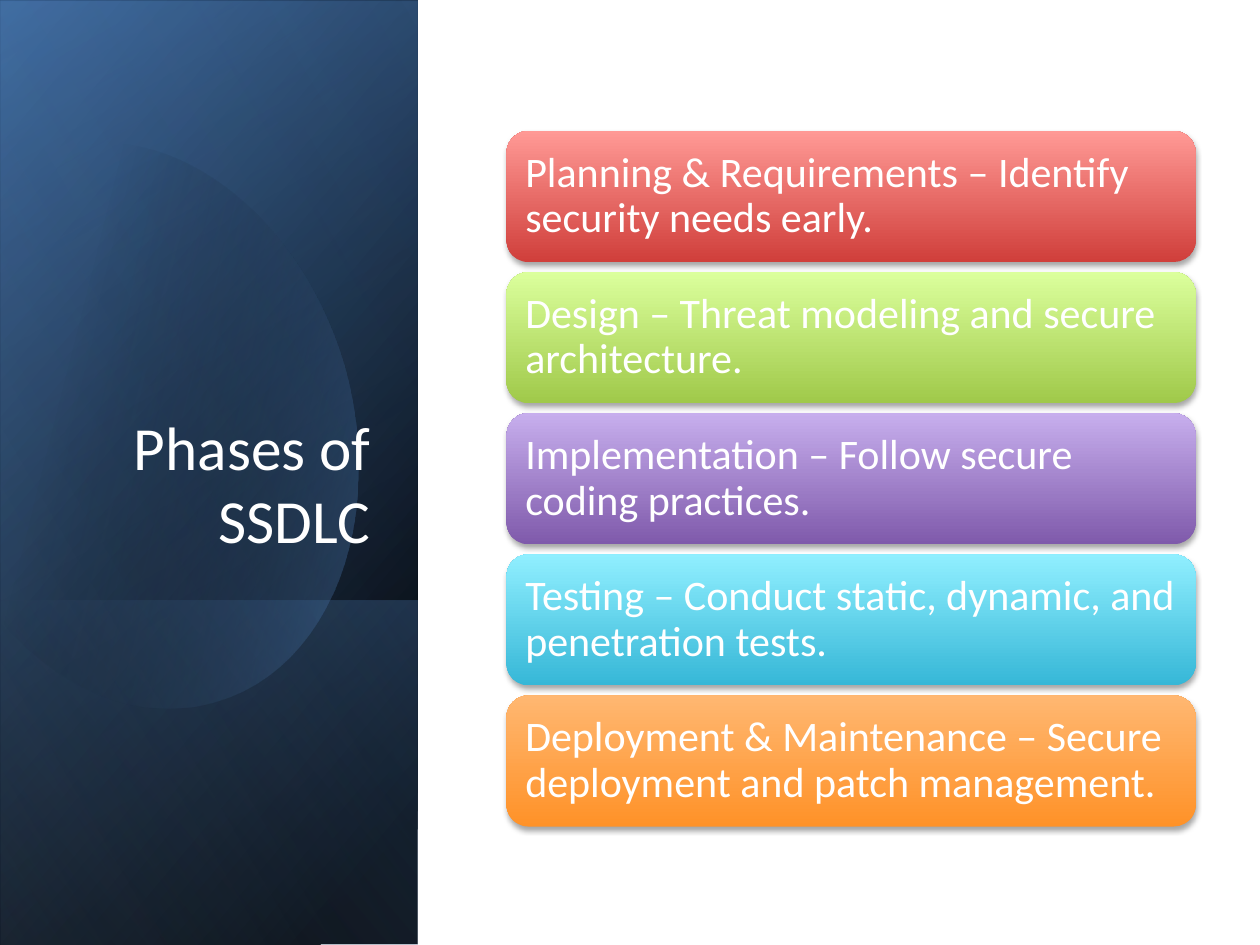
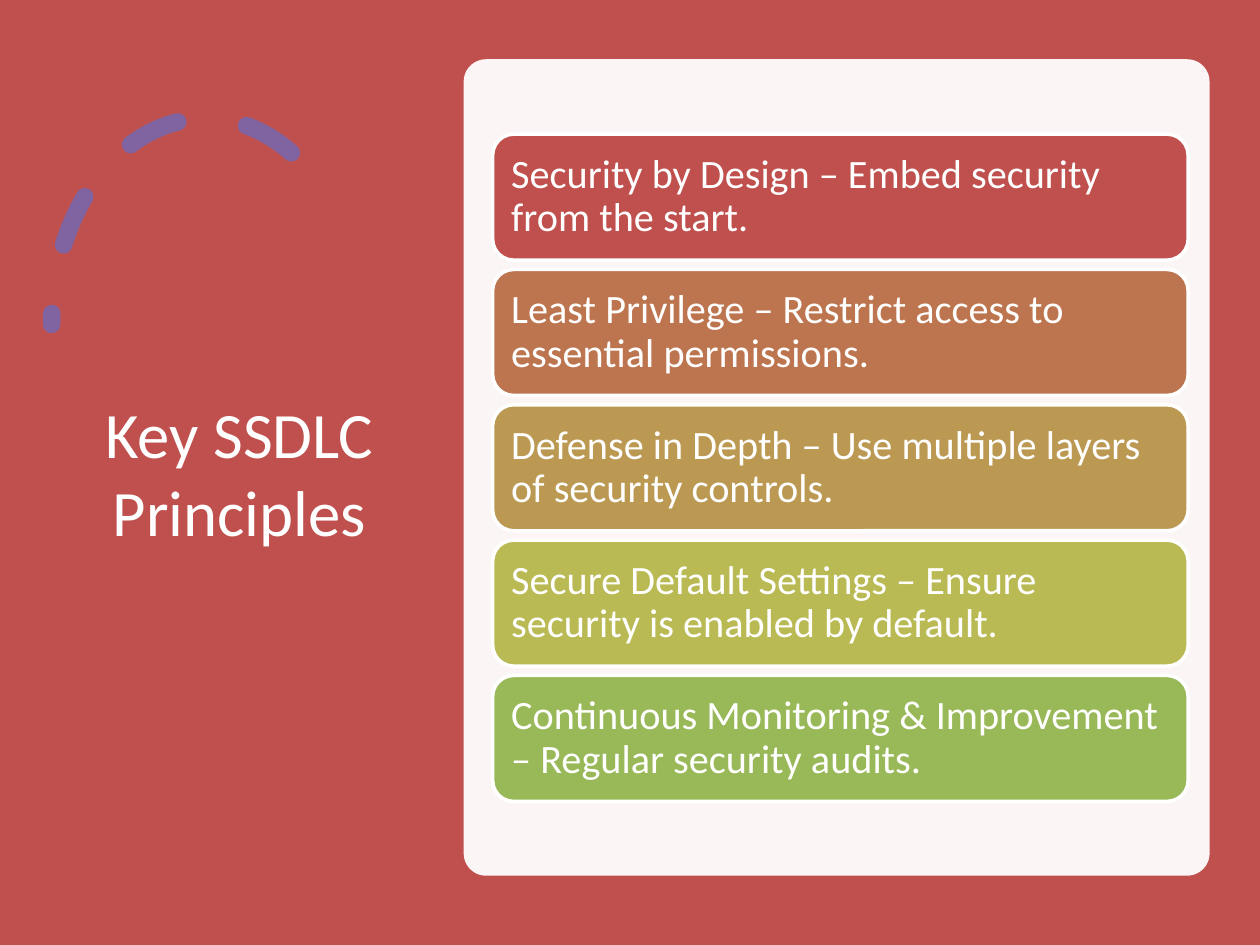
"""Builds two slides on secure development: its phases and its principles."""
import pptx
import pptx.dml.color
import pptx.enum.dml
import pptx.enum.shapes
import pptx.enum.text
import pptx.oxml
import pptx.oxml.ns
import pptx.util

COLS, ROWS = 100, 75
CELL = pptx.util.Inches(0.1)
FONT = "Calibri"
WHITE, BLACK, BLUE, RED, PURPLE = "FFFFFF", "000000", "4F81BD", "C0504D", "8064A2"
LIGHT_BLUE = "93B3D7"
RECT = pptx.enum.shapes.MSO_SHAPE.RECTANGLE
ROUND = pptx.enum.shapes.MSO_SHAPE.ROUNDED_RECTANGLE
ARC = pptx.enum.shapes.MSO_SHAPE.ARC
ALIGN = pptx.enum.text.PP_ALIGN
ANCHOR = pptx.enum.text.MSO_ANCHOR

PHASES = [
    ("Planning & Requirements – Identify security needs early.", "D03F3B", "FF9995"),
    ("Design – Threat modeling and secure architecture.", "A0C94A", "DBFF9C"),
    ("Implementation – Follow secure coding practices.", "7F5AAB", "C7AEED"),
    ("Testing – Conduct static, dynamic, and penetration tests.", "36B7D7", "90EFFF"),
    ("Deployment & Maintenance – Secure deployment and patch management.", "FF9228", "FFB771"),
]
PRINCIPLES = [
    ("Security by Design – Embed security from the start.", "BF504D"),
    ("Least Privilege – Restrict access to essential permissions.", "BD754F"),
    ("Defense in Depth – Use multiple layers of security controls.", "BB9952"),
    ("Secure Default Settings – Ensure security is enabled by default.", "BABA55"),
    ("Continuous Monitoring & Improvement – Regular security audits.", "99B958"),
]
SIDE_PANELS = [
    ((-20.9, 20.9, 75, 33.1), [(0, BLACK, 100), (8, BLACK, 100), (100, "366092", 100)], 50),
    ((-20.9, 21.1, 75, 33.1), [(0, BLACK, 0), (99, BLUE, 46), (100, BLUE, 46)], 30),
    ((2.9, 44.8, 27.4, 33.1), [(0, BLUE, 29), (2, BLUE, 29), (100, BLACK, 30)], 130),
]
SHEEN = ((-20.9, 20.9, 75, 33.1), [(0, BLACK, 0), (99, LIGHT_BLUE, 11), (100, LIGHT_BLUE, 11)], 120)
GLOW = [(0, BLACK, 0), (29, BLACK, 0), (100, BLUE, 43)]
BLOB_START = (9.6, 11.4)
BLOB_CURVES = [
    [(17.1, 12.2), (24.4, 19.2), (27.3, 29)],
    [(30.7, 41.2), (26.2, 53.1), (17.1, 55.7)],
    [(11.4, 57.4), (5.3, 55), (0.7, 50)],
    [(-0.3, 48.8)],
    [(-2.5, 16.6)],
    [(-1.5, 15.4)],
    [(0.2, 13.7), (2.2, 12.5), (4.5, 11.8)],
    [(6.2, 11.3), (7.9, 11.2), (9.6, 11.4)],
]


def rgb(hex_code):
    return pptx.dml.color.RGBColor.from_string(hex_code)


def qn(tag):
    return pptx.oxml.ns.qn(tag)


def xml(text):
    return pptx.oxml.parse_xml(text.replace(" ", f" {pptx.oxml.ns.nsdecls('a')} ", 1))


def curve_points(start, curves, steps=24):
    points = [start]
    for curve in curves:
        if len(curve) == 1:
            points += curve
            continue
        a, (b, c, d) = points[-1], curve
        for i in range(1, steps + 1):
            t = i / steps
            u = 1 - t
            points.append(tuple(
                u**3 * a[k] + 3 * u * u * t * b[k] + 3 * u * t * t * c[k] + t**3 * d[k]
                for k in (0, 1)))
    return points


class Deck:
    def __init__(self):
        self.prs = pptx.Presentation()
        self.prs.slide_width, self.prs.slide_height = COLS * CELL, ROWS * CELL
        self.s = None

    def slide(self):
        self.s = self.prs.slides.add_slide(self.prs.slide_layouts[6])

    def plain(self, sp):
        sp.shadow.inherit = False
        sp.fill.background()
        sp.line.fill.background()
        return sp

    def shape(self, kind, box, fill=None, adj=()):
        sp = self.plain(self.s.shapes.add_shape(kind, *(round(v * CELL) for v in box)))
        for i, value in enumerate(adj):
            sp.adjustments[i] = value
        if fill:
            sp.fill.solid()
            sp.fill.fore_color.rgb = rgb(fill)
        return sp

    def freeform(self, points):
        start, *rest = [(round(x * CELL), round(y * CELL)) for x, y in points]
        builder = self.s.shapes.build_freeform(*start, scale=1.0)
        builder.add_line_segments(rest, close=True)
        return self.plain(builder.convert_to_shape())

    def gradient(self, sp, stops, angle):
        sp.fill.gradient()
        sp.fill.gradient_angle = 360 - angle
        gs_list = sp._element.spPr.find(qn("a:gradFill")).find(qn("a:gsLst"))
        for gs in list(gs_list):
            gs_list.remove(gs)
        for pos, color, alpha in stops:
            gs_list.append(xml(
                f'<a:gs pos="{pos * 1000}"><a:srgbClr val="{color}">'
                f'<a:alpha val="{alpha * 1000}"/></a:srgbClr></a:gs>'))

    def flip(self, sp):
        sp._element.spPr.find(qn("a:xfrm")).set("flipH", "1")

    def opacity(self, sp, percent):
        color = sp._element.spPr.find(qn("a:solidFill")).find(qn("a:srgbClr"))
        color.append(xml(f'<a:alpha val="{percent * 1000}"/>'))

    def outline(self, sp, color, width):
        sp.line.color.rgb = rgb(color)
        sp.line.width = pptx.util.Pt(width)

    def drop_shadow(self, sp):
        blur, dist = pptx.util.Pt(3.1), pptx.util.Pt(1.8)
        sp._element.spPr.find(qn("a:effectLst")).append(xml(
            f'<a:outerShdw blurRad="{blur}" dist="{dist}" dir="5400000" rotWithShape="0">'
            f'<a:srgbClr val="{BLACK}"><a:alpha val="35000"/></a:srgbClr></a:outerShdw>'))

    def side_panel(self, box, stops, angle):
        sp = self.shape(RECT, box)
        sp.rotation = 90
        self.flip(sp)
        self.gradient(sp, stops, angle)

    def label(self, sp, text, size, align, anchor, inset_y, spacing=1.0):
        tf = sp.text_frame
        tf.text = text
        tf.word_wrap = True
        tf.vertical_anchor = anchor
        tf.margin_left = tf.margin_right = CELL
        tf.margin_top = tf.margin_bottom = round(inset_y * CELL)
        p = tf.paragraphs[0]
        p.alignment = align
        p.line_spacing = spacing
        font = p.runs[0].font
        font.name, font.size = FONT, pptx.util.Pt(size)
        font.color.rgb = rgb(WHITE)

    def title(self, box, text, size, align, anchor):
        sp = self.s.shapes.add_textbox(*(round(v * CELL) for v in box))
        self.label(sp, text, size, align, anchor, 0.5)

    def card(self, box, text, size, fill=None):
        sp = self.shape(ROUND, box, fill, [0.167])
        self.label(sp, text, size, ALIGN.LEFT, ANCHOR.MIDDLE, 1, 0.9)
        return sp

    def phases(self):
        self.slide()
        for panel in SIDE_PANELS:
            self.side_panel(*panel)
        blob = self.freeform(curve_points(BLOB_START, BLOB_CURVES))
        self.gradient(blob, GLOW, 14)
        self.side_panel(*SHEEN)
        self.title((4.8, 18.4, 25.6, 26.2), "Phases of SSDLC", 35, ALIGN.RIGHT, ANCHOR.BOTTOM)
        for i, (text, dark, light) in enumerate(PHASES):
            sp = self.card((40.2, 10.4 + 11.2 * i, 54.7, 10.4), text, 24)
            self.gradient(sp, [(0, dark, 100), (100, light, 100)], 270)
            self.drop_shadow(sp)

    def principles(self):
        self.slide()
        self.shape(RECT, (0, 0, COLS, ROWS), RED)
        arc = self.shape(ARC, (4.1, 9.4, 24.5, 32.7), adj=[146.13, 0])
        self.flip(arc)
        self.outline(arc, PURPLE, 10)
        arc.line.dash_style = pptx.enum.dml.MSO_LINE.DASH
        arc._element.spPr.find(qn("a:ln")).set("cap", "rnd")
        self.title((6.9, 7, 24.2, 60.9), "Key SSDLC Principles", 37, ALIGN.CENTER, ANCHOR.MIDDLE)
        self.opacity(self.shape(ROUND, (36.8, 4.7, 59.2, 64.8), WHITE, [0.03]), 95)
        for i, (text, color) in enumerate(PRINCIPLES):
            sp = self.card((39.1, 10.65 + 10.74 * i, 55.2, 10), text, 23, color)
            self.outline(sp, WHITE, 2)


def main():
    deck = Deck()
    deck.phases()
    deck.principles()
    deck.prs.save("out.pptx")


if __name__ == "__main__":
    main()
